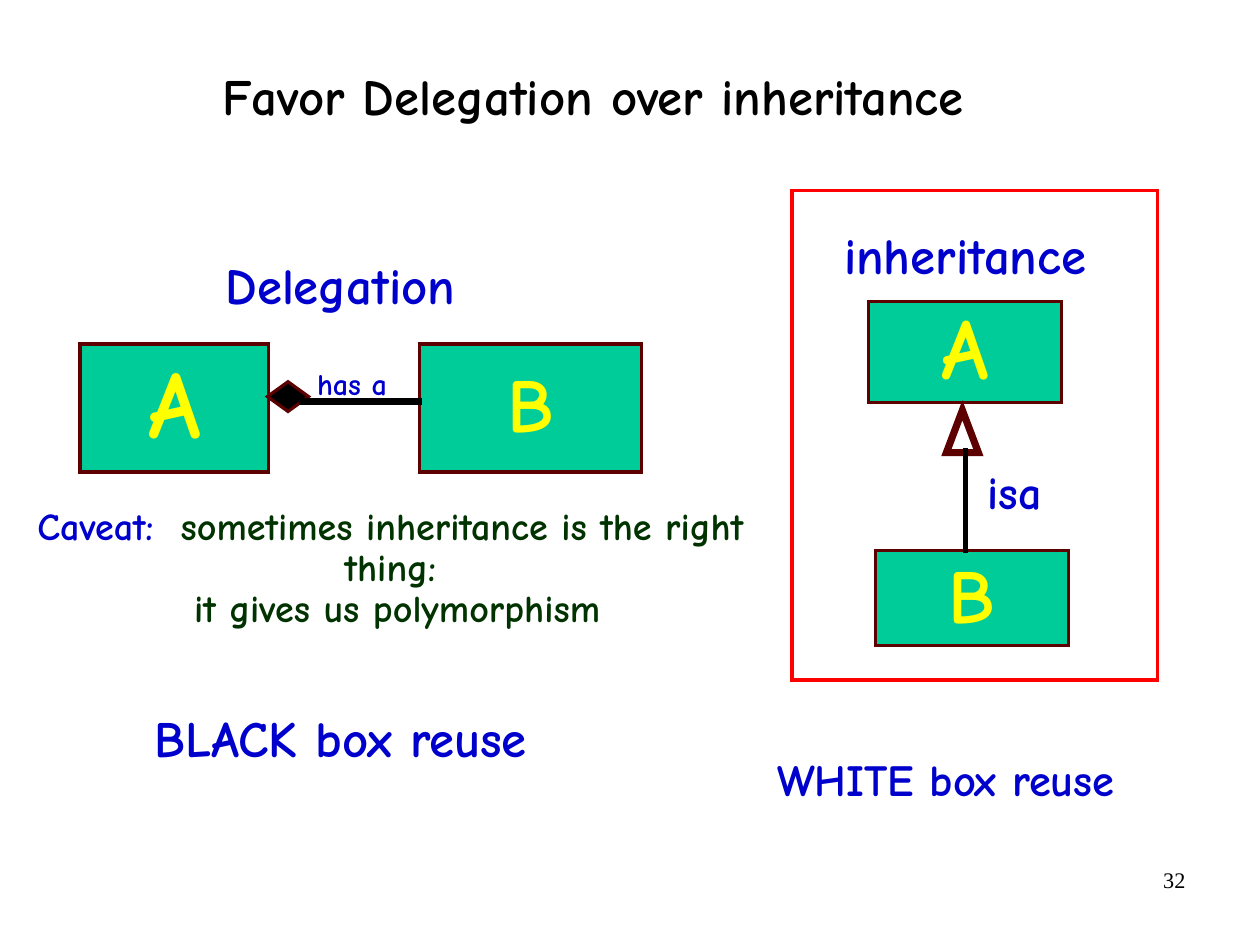
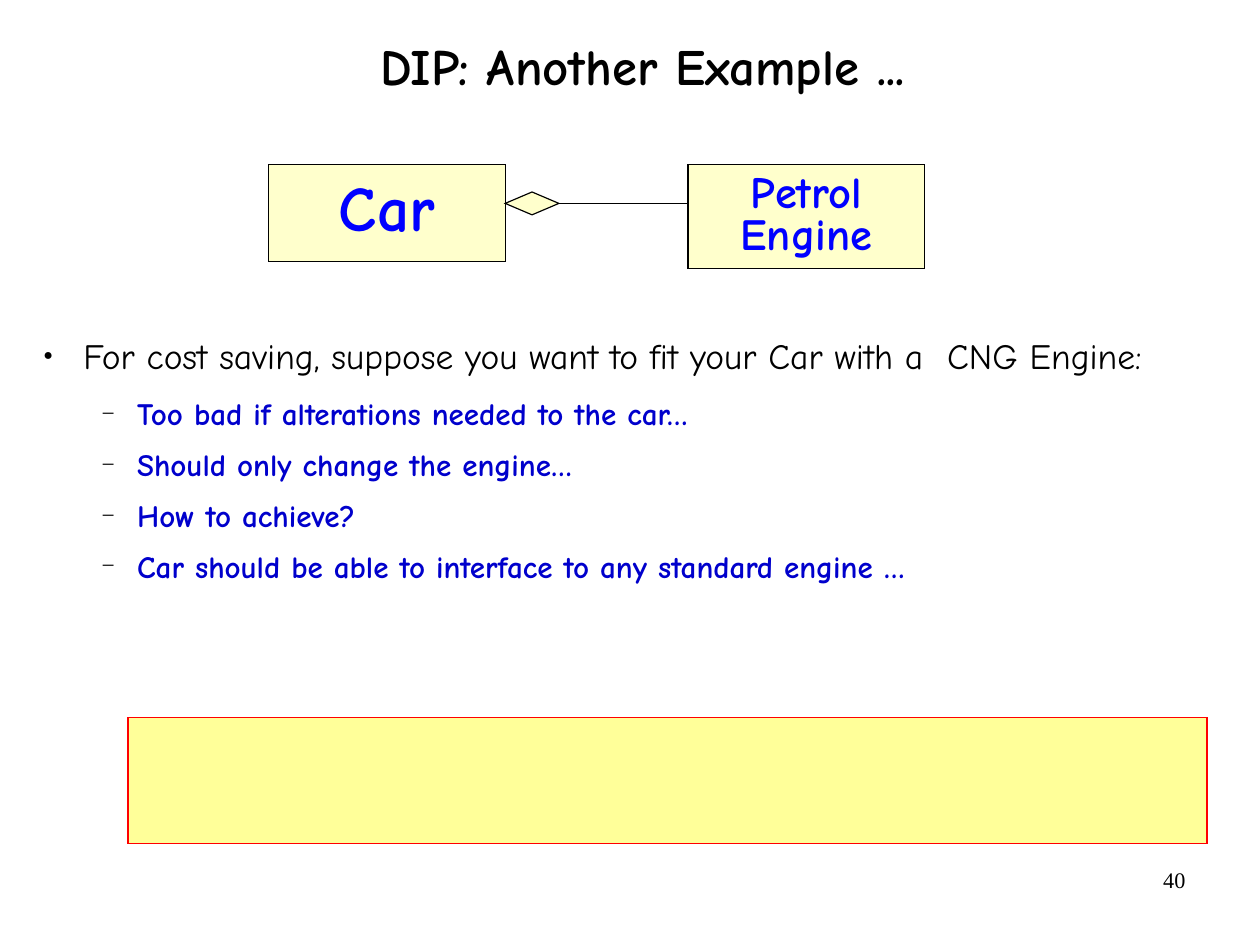
from lxml import etree
from pptx import Presentation
from pptx import util as u
from pptx.dml import color as dml
from pptx.enum import shapes, text
from pptx.oxml import ns

COLORS = {
    "black": "000000", "white": "FFFFFF", "maroon": "5C0000",
    "green": "00CC99", "yellow": "FFFF00", "navy": "0000CC",
    "blue": "0000FF", "forest": "003300", "red": "FF0000",
    "cream": "FFFFCC", "lemon": "FFFF99",
}
FONT = "Comic Neue"
NUMBER_FONT = "Times New Roman"
TITLE_SIZE = 32
WIDE_INSETS = (0.11, 0.06)
NARROW_INSETS = (0.1, 0.05)
SHAPE = shapes.MSO_SHAPE
ALIGN = text.PP_ALIGN
ANCHOR = text.MSO_ANCHOR


def rgb(name):
    return dml.RGBColor.from_string(COLORS[name])


def write(paragraph, words, size, color="navy", bold=True, font=FONT,
          align=ALIGN.CENTER, spacing=0.9, after=0):
    paragraph.alignment = align
    paragraph.line_spacing = spacing
    paragraph.space_after = u.Pt(after)
    run = paragraph.add_run()
    run.text = words
    run.font.name = font
    run.font.size = u.Pt(size)
    run.font.bold = bold
    run.font.color.rgb = rgb(color)


def prepare_frame(frame, insets=WIDE_INSETS, anchor=ANCHOR.TOP, wrap=True):
    frame.margin_left = frame.margin_right = u.Inches(insets[0])
    frame.margin_top = frame.margin_bottom = u.Inches(insets[1])
    frame.vertical_anchor = anchor
    frame.word_wrap = wrap


def write_lines(frame, words, **style):
    for index, line in enumerate(words.split("\n")):
        paragraph = frame.add_paragraph() if index else frame.paragraphs[0]
        write(paragraph, line, **style)


def add_text(slide, place, words="", insets=WIDE_INSETS, anchor=ANCHOR.TOP,
             wrap=False, **style):
    frame = slide.shapes.add_textbox(*map(u.Inches, place)).text_frame
    prepare_frame(frame, insets, anchor, wrap)
    if words:
        write_lines(frame, words, **style)
    return frame


def add_figure(slide, kind, place, fill, line, width):
    figure = slide.shapes.add_shape(kind, *map(u.Inches, place))
    figure.shadow.inherit = False
    if fill:
        figure.fill.solid()
        figure.fill.fore_color.rgb = rgb(fill)
    else:
        figure.fill.background()
    figure.line.color.rgb = rgb(line)
    figure.line.width = u.Pt(width)
    outline = figure._element.spPr.find(ns.qn("a:ln"))
    etree.SubElement(outline, ns.qn("a:miter"), lim="800000")
    return figure


def add_delegation_class(slide, place, name, size):
    box = add_figure(slide, SHAPE.RECTANGLE, place, "green", "maroon", 2)
    prepare_frame(box.text_frame, anchor=ANCHOR.MIDDLE)
    write_lines(box.text_frame, name, size=size, color="yellow")


def add_car_class(slide, place, name, size):
    box = add_figure(slide, SHAPE.RECTANGLE, place, "cream", "black", 0.75)
    prepare_frame(box.text_frame, NARROW_INSETS, ANCHOR.MIDDLE, False)
    write_lines(box.text_frame, name, size=size, color="blue", spacing=0.8)


def add_link(slide, start, end, width):
    link = slide.shapes.add_connector(
        shapes.MSO_CONNECTOR.STRAIGHT, *map(u.Inches, start + end))
    link.line.color.rgb = rgb("black")
    link.line.width = u.Pt(width)
    etree.SubElement(link._element.spPr, ns.qn("a:effectLst"))
    return link


def add_bullet(paragraph, mark, percent, left, hanging):
    properties = paragraph._p.get_or_add_pPr()
    properties.set("marL", str(u.Inches(left)))
    properties.set("indent", str(-u.Inches(hanging)))
    bullet_color = etree.SubElement(properties, ns.qn("a:buClr"))
    etree.SubElement(bullet_color, ns.qn("a:srgbClr"), val=COLORS["black"])
    etree.SubElement(properties, ns.qn("a:buSzPct"), val=str(percent * 1000))
    etree.SubElement(properties, ns.qn("a:buFont"), typeface=NUMBER_FONT)
    etree.SubElement(properties, ns.qn("a:buChar"), char=mark)


def start_slide(deck, number, title, title_place):
    slide = deck.slides.add_slide(deck.slide_layouts[6])
    slide.background.fill.solid()
    slide.background.fill.fore_color.rgb = rgb("white")
    add_text(slide, (7.9, 7.53, 2.57, 0.57), str(number), NARROW_INSETS,
             wrap=True, size=14, color="black", bold=False, font=NUMBER_FONT,
             align=ALIGN.RIGHT, spacing=1.0)
    add_text(slide, title_place, title, anchor=ANCHOR.MIDDLE,
             size=TITLE_SIZE, color="black")
    return slide


def build_delegation(deck):
    slide = start_slide(deck, 32, "Favor Delegation over inheritance",
                        (1.82, 0.57, 6.74, 0.59))
    add_delegation_class(slide, (0.7, 3.01, 1.65, 1.12), "A", 60)
    add_figure(slide, SHAPE.DIAMOND, (2.34, 3.34, 0.36, 0.26),
               "black", "maroon", 2)
    add_delegation_class(slide, (3.67, 3.01, 1.94, 1.12), "B", 48)
    add_link(slide, (2.62, 3.51), (3.69, 3.51), 4.5)

    add_delegation_class(slide, (7.6, 2.64, 1.69, 0.88), "A", 54)
    add_delegation_class(slide, (7.66, 4.82, 1.69, 0.83), "B", 48)
    add_figure(slide, SHAPE.ISOSCELES_TRIANGLE, (8.28, 3.59, 0.28, 0.37),
               "white", "maroon", 4.5)
    add_link(slide, (8.45, 3.92), (8.45, 4.84), 3)

    for words, place, size in (
        ("inheritance", (7.27, 1.96, 2.35, 0.59), 32),
        ("Delegation", (1.86, 2.22, 2.24, 0.59), 32),
        ("has a", (2.63, 3.17, 0.9, 0.4), 19),
        ("isa", (8.03, 4.05, 1.69, 0.55), 29),
        ("BLACK box reuse", (1.22, 6.18, 3.52, 0.59), 32),
        ("WHITE box reuse", (6.68, 6.57, 3.19, 0.53), 28),
    ):
        add_text(slide, place, words, size=size)

    add_figure(slide, SHAPE.RECTANGLE, (6.93, 1.67, 3.2, 4.28),
               None, "red", 2)
    caveat = add_text(slide, (-0.05, 4.38, 6.93, 1.19), wrap=True)
    opening = caveat.paragraphs[0]
    write(opening, "Caveat:  ", size=24)
    write(opening, "sometimes inheritance is the right thing:", size=24,
          color="forest")
    write(caveat.add_paragraph(), " it gives us polymorphism", size=24,
          color="forest")


def build_dependency(deck):
    slide = start_slide(deck, 40, "DIP: Another Example ...",
                        (0.68, -0.08, 9.89, 1.37))
    add_figure(slide, SHAPE.RECTANGLE, (1.12, 6.28, 9.44, 1.1),
               "lemon", "red", 0.75)

    body = add_text(slide, (0.16, 2.9, 10.41, 2.37), wrap=True)
    premise = body.paragraphs[0]
    write(premise, "For cost saving, suppose you want to fit your Car "
          "with a  CNG Engine:", size=22.4, color="black", bold=False,
          align=ALIGN.LEFT, after=13.8)
    add_bullet(premise, "●", 45, 0.46, 0.35)
    for words in (
        "Too bad if alterations needed to the car…",
        "Should only change the engine…",
        "How to achieve?",
        "Car should be able to interface to any standard engine …",
    ):
        point = body.add_paragraph()
        point.level = 1
        write(point, words, size=19.6, align=ALIGN.LEFT, after=10.9)
        add_bullet(point, "−", 75, 0.93, 0.31)

    add_car_class(slide, (2.35, 1.44, 2.07, 0.85), "Car", 40)
    add_car_class(slide, (6.02, 1.44, 2.07, 0.91), "Petrol\nEngine", 28)
    aggregation = add_figure(slide, SHAPE.DIAMOND, (4.42, 1.68, 0.47, 0.2),
                             "cream", "black", 0.75)
    link = add_link(slide, (4.89, 1.78), (6.02, 1.78), 0.75)
    link.begin_connect(aggregation, 3)


def main():
    deck = Presentation()
    deck.slide_width = u.Cm(28)
    deck.slide_height = u.Cm(21)
    build_delegation(deck)
    build_dependency(deck)
    deck.save("out.pptx")


if __name__ == "__main__":
    main()
